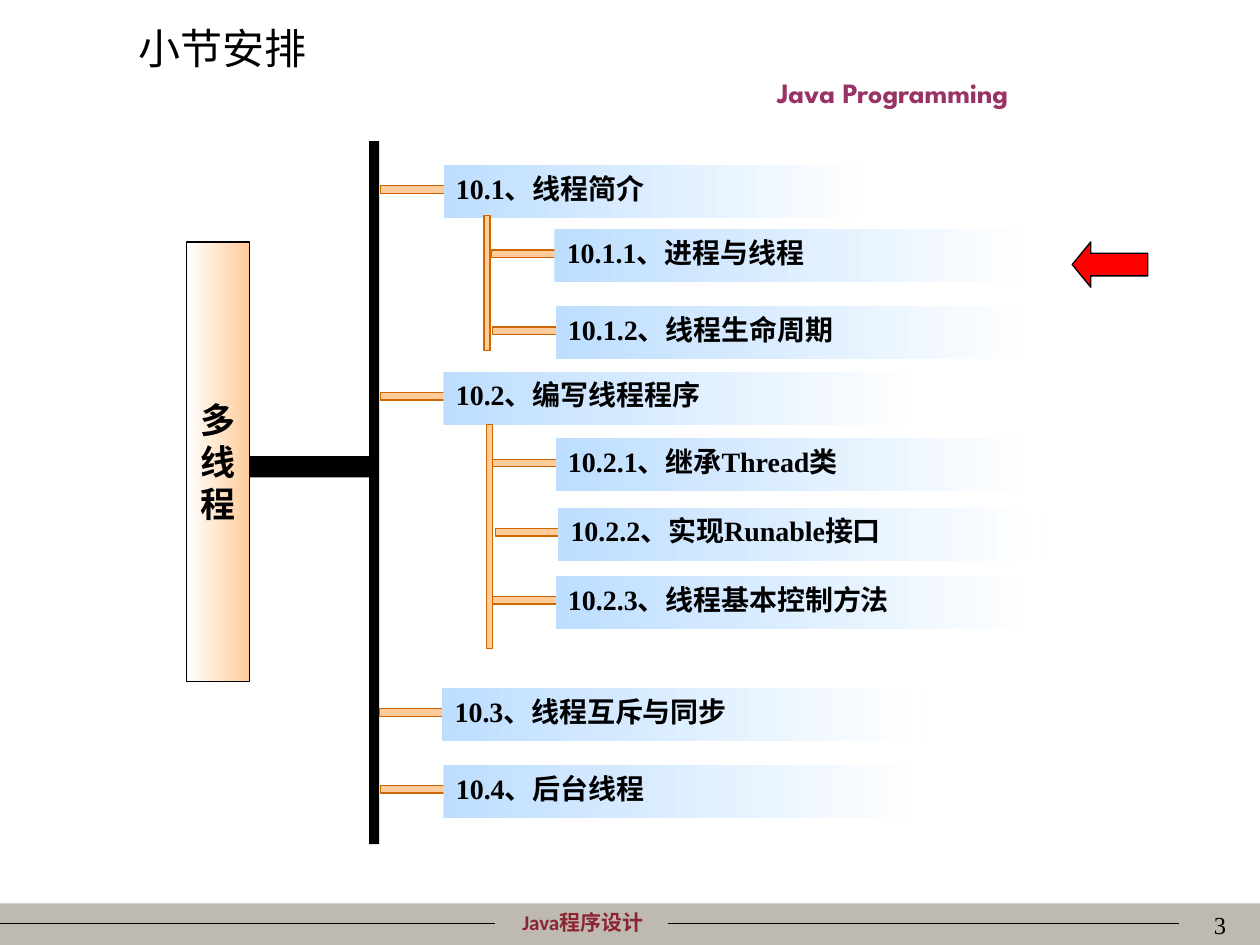
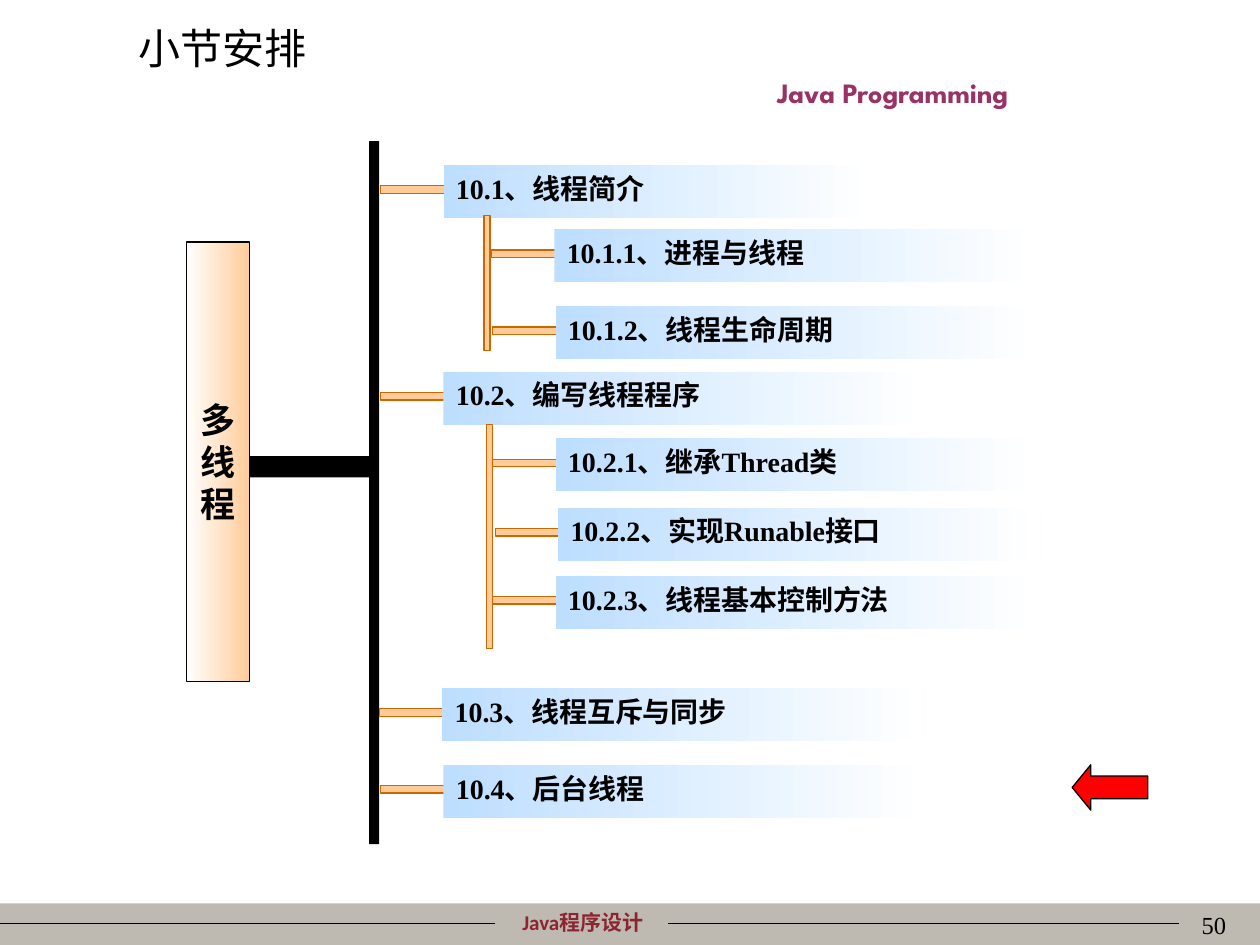
import pptx
import pptx.util
import pptx.dml.color
import pptx.enum.shapes
import pptx.enum.text
import pptx.oxml.ns
import lxml.etree

Inches = pptx.util.Inches
RGBColor = pptx.dml.color.RGBColor
Align = pptx.enum.text.PP_ALIGN
Anchor = pptx.enum.text.MSO_ANCHOR
Preset = pptx.enum.shapes.MSO_SHAPE
qn = pptx.oxml.ns.qn

BLACK = RGBColor(0x00, 0x00, 0x00)
WHITE = RGBColor(0xFF, 0xFF, 0xFF)
FOOTER_GREY = RGBColor(0xBF, 0xBA, 0xB1)
FOOTER_RED = RGBColor(0x8C, 0x25, 0x32)
PLUM = RGBColor(0x99, 0x33, 0x66)
PEACH = RGBColor(0xFF, 0xCC, 0x99)
ORANGE = RGBColor(0xCC, 0x66, 0x00)
SKY = RGBColor(0xBD, 0xDE, 0xFF)
RED = RGBColor(0xFF, 0x00, 0x00)

SERIF = "Times New Roman"
CJK = "Noto Sans CJK SC"

# Topic text, then left, top and width within the diagram
TOPICS = [
    ("10.1、线程简介", 2.04, 0.19, 3.41),
    ("10.1.1、进程与线程", 2.92, 0.70, 3.83),
    ("10.1.2、线程生命周期", 2.93, 1.31, 3.83),
    ("10.2、编写线程程序", 2.04, 1.83, 3.83),
    ("10.2.1、继承Thread类", 2.93, 2.36, 3.83),
    ("10.2.2、实现Runable接口", 2.95, 2.91, 3.83),
    ("10.2.3、线程基本控制方法", 2.93, 3.45, 3.83),
    ("10.3、线程互斥与同步", 2.03, 4.34, 3.83),
    ("10.4、后台线程", 2.04, 4.95, 3.83),
]
# Left, top and height of the rails that hold the subtopics
RAILS = [(2.36, 0.59, 1.07), (2.38, 2.25, 1.78)]


def write(shape, text, size, color=BLACK, name=SERIF, bold=False,
          align=Align.LEFT, anchor=Anchor.TOP):
    frame = shape.text_frame
    frame.word_wrap = True
    frame.vertical_anchor = anchor
    frame.text = text
    paragraph = frame.paragraphs[0]
    paragraph.alignment = align
    font = paragraph.font
    font.size = pptx.util.Pt(size)
    font.bold = bold
    font.name = name
    font.color.rgb = color
    # East Asian characters take their own font
    properties = paragraph._p.pPr.find(qn("a:defRPr"))
    lxml.etree.SubElement(properties, qn("a:ea")).set("typeface", CJK)


def add_text(slide, left, top, width, height, text, size, **style):
    box = slide.shapes.add_textbox(Inches(left), Inches(top), Inches(width), Inches(height))
    write(box, text, size, **style)


def add_block(slide, left, top, width, height, fill, line=None, preset=Preset.RECTANGLE):
    """Add a shape; a pair of colours as fill makes a left-to-right gradient."""
    shape = slide.shapes.add_shape(
        preset, Inches(left), Inches(top), Inches(width), Inches(height))
    shape.shadow.inherit = False
    if isinstance(fill, list):
        shape.fill.gradient()
        shape.fill.gradient_angle = 0
        for stop, color in zip(shape.fill.gradient_stops, fill):
            stop.color.rgb = color
    else:
        shape.fill.solid()
        shape.fill.fore_color.rgb = fill
    if line is None:
        shape.line.fill.background()
    else:
        shape.line.color.rgb = line
        shape.line.width = pptx.util.Pt(0.75)
    return shape


def add_rule(slide, start, end, y):
    rule = slide.shapes.add_connector(
        pptx.enum.shapes.MSO_CONNECTOR.STRAIGHT,
        Inches(start), Inches(y), Inches(end), Inches(y))
    rule.line.color.rgb = BLACK
    rule.line.width = pptx.util.Pt(0.75)
    lxml.etree.SubElement(rule._element.spPr, qn("a:effectLst"))


def add_footer(slide, top, number):
    add_block(slide, 0, top, 10, 0.33, FOOTER_GREY)
    add_text(slide, 3.62, top, 2.01, 0.3, "Java程序设计", 12, color=FOOTER_RED,
             name="Calibri", bold=True, align=Align.CENTER)
    for start, end in [(0, 3.93), (5.3, 9.36)]:
        add_rule(slide, start, end, top + 0.16)
    add_text(slide, 7.75, top, 2.08, 0.5, str(number), 14, align=Align.RIGHT)


def add_header(slide, left, top):
    title = slide.shapes.title
    title.left, title.top = Inches(left), Inches(top)
    title.width, title.height = Inches(2.85), Inches(0.5)
    write(title, "小节安排", 24, name=CJK, anchor=Anchor.MIDDLE)
    add_text(slide, left + 4.08, top + 0.42, 4.01, 0.37, "Java Programming", 16,
             color=PLUM, name="League Spartan", bold=True, align=Align.CENTER)


def add_topic(slide, left, top, width, text):
    add_block(slide, left - 0.5, top + 0.165, 0.51, 0.06, PEACH, ORANGE)
    topic = add_block(slide, left, top, width, 0.42, [SKY, WHITE])
    write(topic, text, 16, bold=True, align=Align.JUSTIFY)


def add_outline(slide, left, top, marker_top):
    # Chapter name and black spine
    chapter = add_block(slide, left, top + 0.8, 0.5, 3.49, [WHITE, PEACH], BLACK)
    write(chapter, "多线程", 20, bold=True, align=Align.CENTER, anchor=Anchor.MIDDLE)
    add_block(slide, left + 0.5, top + 2.5, 1, 0.17, BLACK)
    add_block(slide, left + 1.45, top, 0.08, 5.58, BLACK)

    # Topics and their rails
    for text, x, y, width in TOPICS:
        add_topic(slide, left + x, top + y, width, text)
    for x, y, height in RAILS:
        add_block(slide, left + x, top + y, 0.05, height, PEACH, ORANGE)

    # Marker for the current topic
    marker = add_block(slide, left + 7.03, top + marker_top, 0.6, 0.36, RED, BLACK,
                       Preset.LEFT_ARROW)
    marker.adjustments[0] = 0.5
    marker.adjustments[1] = 0.41


def add_agenda_slide(presentation, number, marker_top):
    slide = presentation.slides.add_slide(presentation.slide_layouts.get_by_name("Title Only"))
    add_footer(slide, 7.17, number)
    add_header(slide, 1, 0.13)
    add_outline(slide, 1.48, 1.12, marker_top)


def main():
    presentation = pptx.Presentation()
    presentation.slide_width = Inches(10)
    presentation.slide_height = Inches(7.5)
    for number, marker_top in [(3, 0.8), (50, 4.95)]:
        add_agenda_slide(presentation, number, marker_top)
    presentation.save("out.pptx")


if __name__ == "__main__":
    main()
